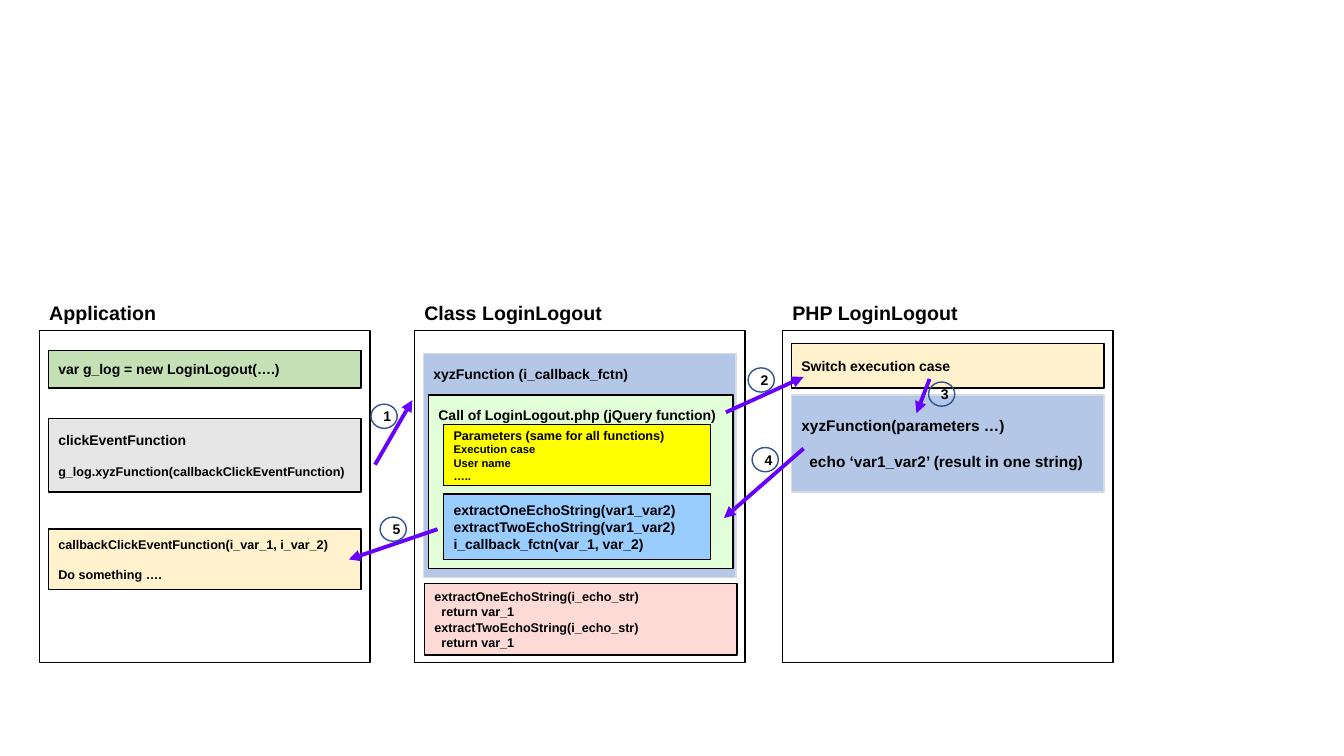
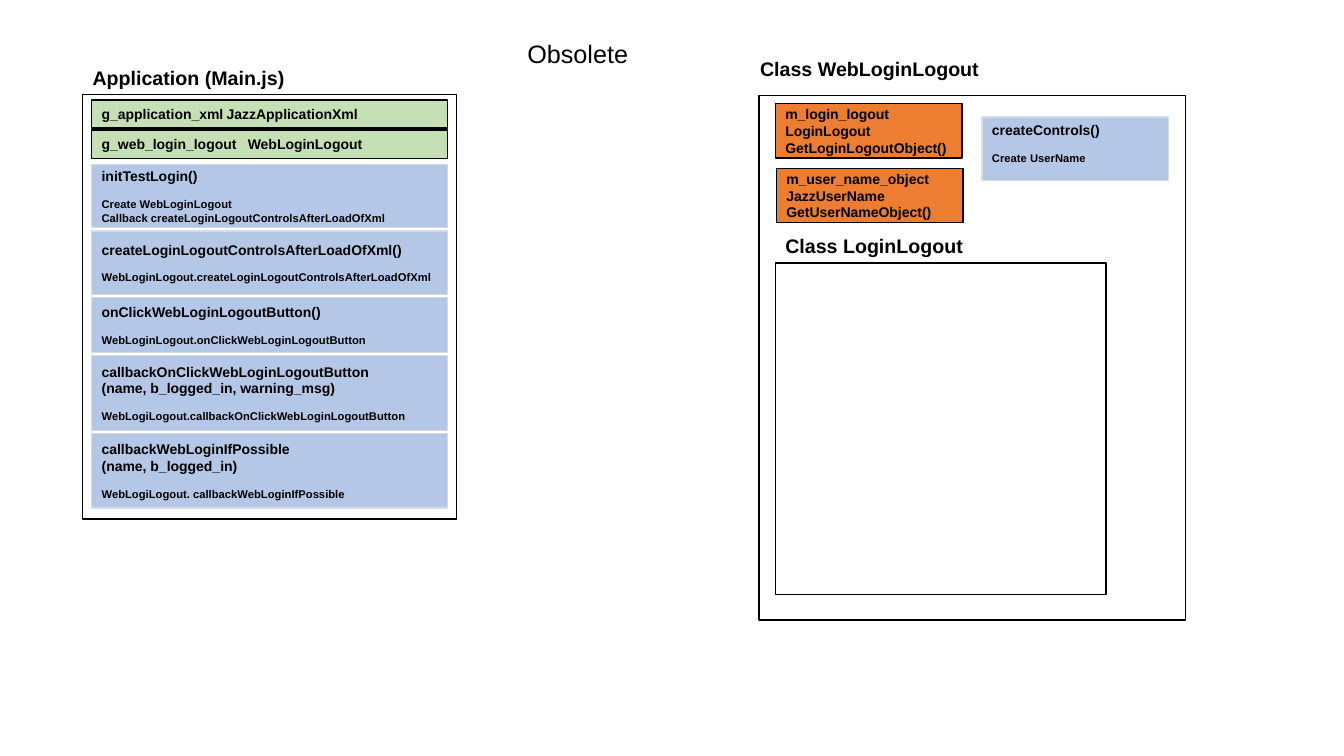
from lxml import etree
from pptx import Presentation
from pptx.dml.color import RGBColor
from pptx.enum.shapes import MSO_CONNECTOR, MSO_SHAPE
from pptx.enum.text import MSO_ANCHOR, MSO_AUTO_SIZE, PP_ALIGN
from pptx.oxml.ns import qn
from pptx.util import Inches, Pt

RECT, OVAL = MSO_SHAPE.RECTANGLE, MSO_SHAPE.OVAL
STRAIGHT = MSO_CONNECTOR.STRAIGHT
TOP, MIDDLE = MSO_ANCHOR.TOP, MSO_ANCHOR.MIDDLE
LEFT, CENTER = PP_ALIGN.LEFT, PP_ALIGN.CENTER
FIT, NO_FIT = MSO_AUTO_SIZE.SHAPE_TO_FIT_TEXT, MSO_AUTO_SIZE.NONE


class Theme:
    font = "Arial"
    title, heading, large, body, small, tiny = 18, 14, 11, 10, 9, 8
    ink, edge, ring, arrow = "000000", "D6DCE5", "325491", "6600FF"
    green, grey, cream, blue = "C5E0B4", "E7E6E6", "FFF2CC", "B4C7E7"
    mint, yellow, sky, pink, orange = "E2FED8", "FFFF00", "99CCFF", "FEDAD6", "ED7D31"
    outline, arrow_width = 1, 2.75
    line_height = 1.15


T = Theme


def add_text(tf, lines, bold=True, align=LEFT):
    """Each line is text, size, then optionally skipped line size, indent and tab stop."""
    tf.word_wrap = True
    for i, (text, size, *layout) in enumerate(lines):
        skip, indent, tab = layout + [0] * (3 - len(layout))
        p = tf.paragraphs[0] if i == 0 else tf.add_paragraph()
        p.alignment = align
        if skip:
            p.space_before = Pt(skip * T.line_height)
        pPr = p._p.get_or_add_pPr()
        if indent:
            pPr.set("marL", str(Inches(indent)))
            pPr.set("indent", "0")
        if tab:
            tabs = etree.SubElement(pPr, qn("a:tabLst"))
            etree.SubElement(tabs, qn("a:tab"), pos=str(Inches(tab)), algn="l")
        r = p.add_run()
        r.text = text
        r.font.name, r.font.size, r.font.bold = T.font, Pt(size), bold
        r.font.color.rgb = RGBColor.from_string(T.ink)


def add_box(s, x, y, w, h, fill=None, lines=(), inset=None, kind=RECT, edge=None, align=LEFT):
    """Text sits in the middle, or at the top when an inset is given."""
    sp = s.shapes.add_shape(kind, *map(Inches, (x, y, w, h)))
    sp.shadow.inherit = False
    if fill:
        sp.fill.solid()
        sp.fill.fore_color.rgb = RGBColor.from_string(fill)
    else:
        sp.fill.background()
    edge = edge or (T.edge if fill == T.blue else T.ink)
    sp.line.color.rgb = RGBColor.from_string(edge)
    sp.line.width = Pt(T.outline)
    tf = sp.text_frame
    tf.vertical_anchor = MIDDLE if inset is None else TOP
    if inset is not None:
        tf.margin_top = Inches(inset)
    add_text(tf, lines, align=align)


prs = Presentation()
prs.slide_width, prs.slide_height = Inches(13.33), Inches(7.5)
title_only, blank = prs.slide_layouts[5], prs.slide_layouts[6]
call_flow = prs.slides.add_slide(blank)
obsolete = prs.slides.add_slide(title_only)

# Panels and their headings
HEAD_W, HEAD_H, PAD = 3.16, 0.34, 0.09
PANEL_W, PANEL_H, PANEL_TOP = 3.28, 3.29, 3.28
APP, CLASS, PHP = 0.39, 4.11, 7.76
MAIN_X, MAIN_Y, MAIN_W = 0.82, 0.94, 3.71
WEB_X, WEB_Y = 7.53, 0.95
INNER_X, INNER_Y = 7.69, 2.61

panels = [
    (call_flow, "Application", APP, PANEL_TOP, PANEL_W, PANEL_H, 0),
    (call_flow, "Class LoginLogout", CLASS, PANEL_TOP, PANEL_W, PANEL_H, 0),
    (call_flow, "PHP LoginLogout", PHP, PANEL_TOP, PANEL_W, PANEL_H, 0),
    (obsolete, "Application (Main.js)", MAIN_X, MAIN_Y, MAIN_W, 4.21, 0),
    (obsolete, "Class WebLoginLogout", WEB_X, WEB_Y, 4.23, 5.2, 0.09),
    (obsolete, "Class LoginLogout", INNER_X, INNER_Y, PANEL_W, PANEL_H, 0),
]
for s, heading, x, y, w, h, shift in panels:
    add_box(s, x, y, w, h)
    tb = s.shapes.add_textbox(Inches(x - shift), Inches(y - HEAD_H - shift),
                              Inches(HEAD_W), Inches(HEAD_H))
    add_text(tb.text_frame, [(heading, T.heading)])
    tb.text_frame.auto_size = FIT

# Slide 1: cards in the three panels
CARD_W, STEP_X, STEP_W = 3.1, CLASS + 0.29, 2.65
cards = [
    (APP + PAD, 3.48, CARD_W, 0.37, T.green, [("var g_log = new LoginLogout(….)", T.body)]),
    (APP + PAD, 4.15, CARD_W, 0.73, T.grey, [
        ("clickEventFunction", T.body),
        ("g_log.xyzFunction(callbackClickEventFunction)", T.small, T.body)]),
    (APP + PAD, 5.25, CARD_W, 0.6, T.cream, [
        ("callbackClickEventFunction(i_var_1, i_var_2)", T.small),
        ("Do something ….", T.small, T.small)]),
    (CLASS + PAD, 3.51, CARD_W, 2.22, T.blue,
     [("xyzFunction (i_callback_fctn)", T.body)], 0.12),
    (CLASS + 0.14, 3.92, 3.02, 1.72, T.mint,
     [("Call of LoginLogout.php (jQuery function)", T.body)], 0.11),
    (STEP_X, 4.21, STEP_W, 0.61, T.yellow, [
        ("Parameters (same for all functions)", T.small),
        ("Execution case", T.tiny), ("User name", T.tiny), ("…..", T.tiny)]),
    (STEP_X, 4.9, STEP_W, 0.65, T.sky, [
        ("extractOneEchoString(var1_var2)", T.body),
        ("extractTwoEchoString(var1_var2)", T.body),
        ("i_callback_fctn(var_1, var_2)", T.body)]),
    (CLASS + 0.1, 5.79, CARD_W, 0.71, T.pink, [
        ("extractOneEchoString(i_echo_str)", T.small),
        ("return var_1", T.small, 0, 0.07),
        ("extractTwoEchoString(i_echo_str)", T.small),
        ("return var_1", T.small, 0, 0.07)]),
    (PHP + PAD, 3.41, CARD_W, 0.44, T.cream, [("Switch execution case", T.body)]),
    (PHP + PAD, 3.92, CARD_W, 0.96, T.blue, [
        ("xyzFunction(parameters …)", T.large),
        ("echo ‘var1_var2’ (result in one string)", T.large, T.large, 0.08)]),
]
for card in cards:
    add_box(call_flow, *card)

# Slide 1: numbered arrows, each as start, end and badge corner
steps = [
    ((3.72, 4.61), (4.09, 3.97), (3.68, 4.01)),
    ((7.2, 4.09), (7.97, 3.74), (7.42, 3.65)),
    ((9.22, 3.76), (9.09, 4.1), (9.21, 3.79)),
    ((7.97, 4.45), (7.18, 5.14), (7.46, 4.44)),
    ((4.34, 5.25), (3.46, 5.55), (3.77, 5.13)),
]
for number, (start, end, badge) in enumerate(steps, 1):
    cx = call_flow.shapes.add_connector(STRAIGHT, *map(Inches, start + end))
    cx.line.color.rgb = RGBColor.from_string(T.arrow)
    cx.line.width = Pt(T.arrow_width)
    etree.SubElement(cx.line._get_or_add_ln(), qn("a:tailEnd"), type="triangle")
    etree.SubElement(cx._element.spPr, qn("a:effectLst"))
    add_box(call_flow, *badge, 0.26, 0.24, lines=[(str(number), T.body)],
            kind=OVAL, edge=T.ring, align=CENTER)

# Slide 2: title
title = obsolete.shapes.title
title.left, title.top, title.width, title.height = map(Inches, (5.13, 0.33, 1.74, 0.4))
tf = title.text_frame
tf.auto_size, tf.vertical_anchor = NO_FIT, TOP
add_text(tf, [("Obsolete", T.title)], bold=False)

# Slide 2: stack of application members, each as height, gap below, fill and lines
members = [
    (0.28, 0.02, T.green, [("g_application_xml\tJazzApplicationXml", T.body, 0, 0, 1.24)]),
    (0.28, 0.06, T.green, [("g_web_login_logout\tWebLoginLogout", T.body, 0, 0, 1.45)]),
    (0.63, 0.03, T.blue, [
        ("initTestLogin()", T.body),
        ("Create WebLoginLogout", T.tiny, T.tiny),
        ("Callback createLoginLogoutControlsAfterLoadOfXml", T.tiny)]),
    (0.63, 0.03, T.blue, [
        ("createLoginLogoutControlsAfterLoadOfXml()", T.body),
        ("WebLoginLogout.createLoginLogoutControlsAfterLoadOfXml", T.tiny, T.tiny)]),
    (0.55, 0.03, T.blue, [
        ("onClickWebLoginLogoutButton()", T.body),
        ("WebLoginLogout.onClickWebLoginLogoutButton", T.tiny, T.tiny)]),
    (0.74, 0.03, T.blue, [
        ("callbackOnClickWebLoginLogoutButton", T.body),
        ("(name, b_logged_in, warning_msg)", T.body),
        ("WebLogiLogout.callbackOnClickWebLoginLogoutButton", T.tiny, T.tiny)]),
    (0.74, 0.03, T.blue, [
        ("callbackWebLoginIfPossible", T.body),
        ("(name, b_logged_in)", T.body),
        ("WebLogiLogout. callbackWebLoginIfPossible", T.tiny, T.tiny)]),
]
y = MAIN_Y + 0.05
for h, gap, fill, lines in members:
    add_box(obsolete, MAIN_X + PAD, y, MAIN_W - 2 * PAD, h, fill, lines)
    y += h + gap

# Slide 2: members of the web class
FIELD_W, FIELD_H = 1.85, 0.54
fields = [
    ("m_login_logout", "LoginLogout", "GetLoginLogoutObject()"),
    ("m_user_name_object", "JazzUserName", "GetUserNameObject()"),
]
for row, names in enumerate(fields):
    add_box(obsolete, INNER_X + 0.01 * row, WEB_Y + 0.08 + 0.64 * row, FIELD_W, FIELD_H,
            T.orange, [(name, T.body) for name in names])
add_box(obsolete, 9.74, 1.16, FIELD_W, 0.63, T.blue,
        [("createControls()", T.body), ("Create UserName", T.tiny, T.tiny)], 0.05)

prs.save("out.pptx")
